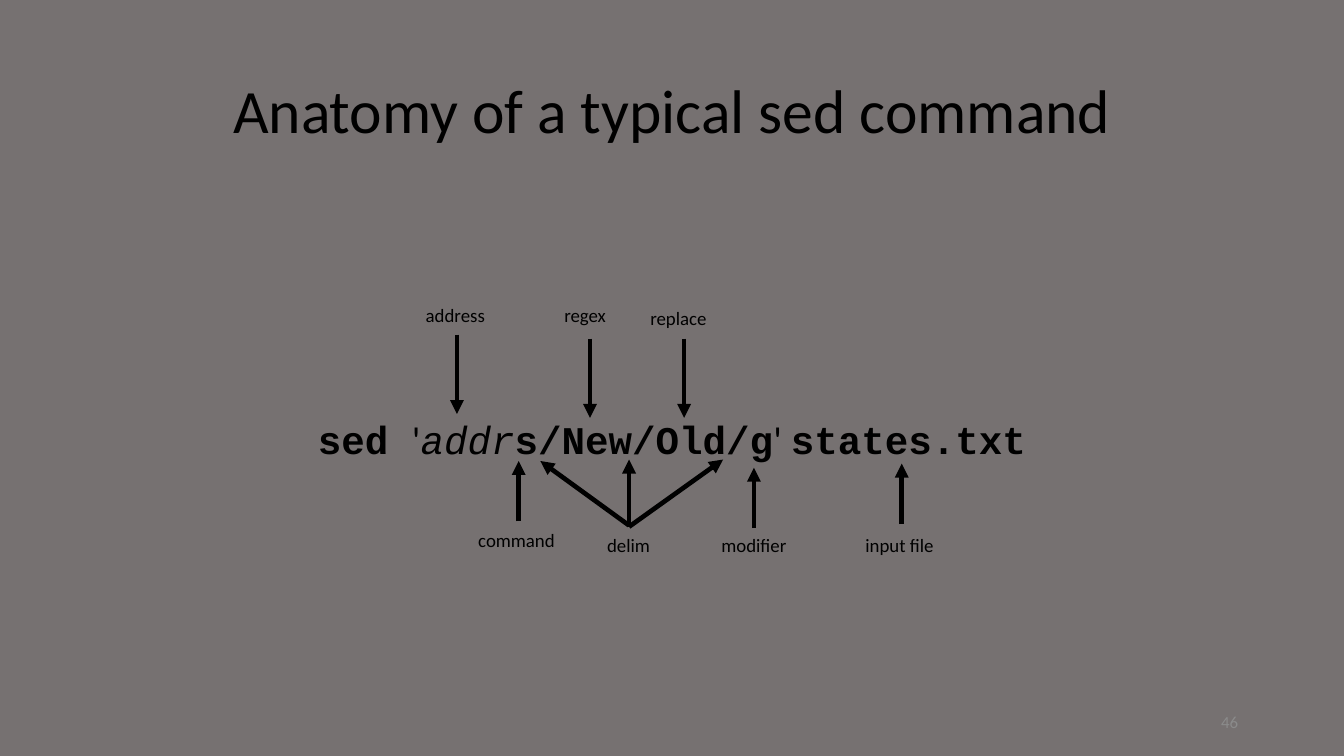
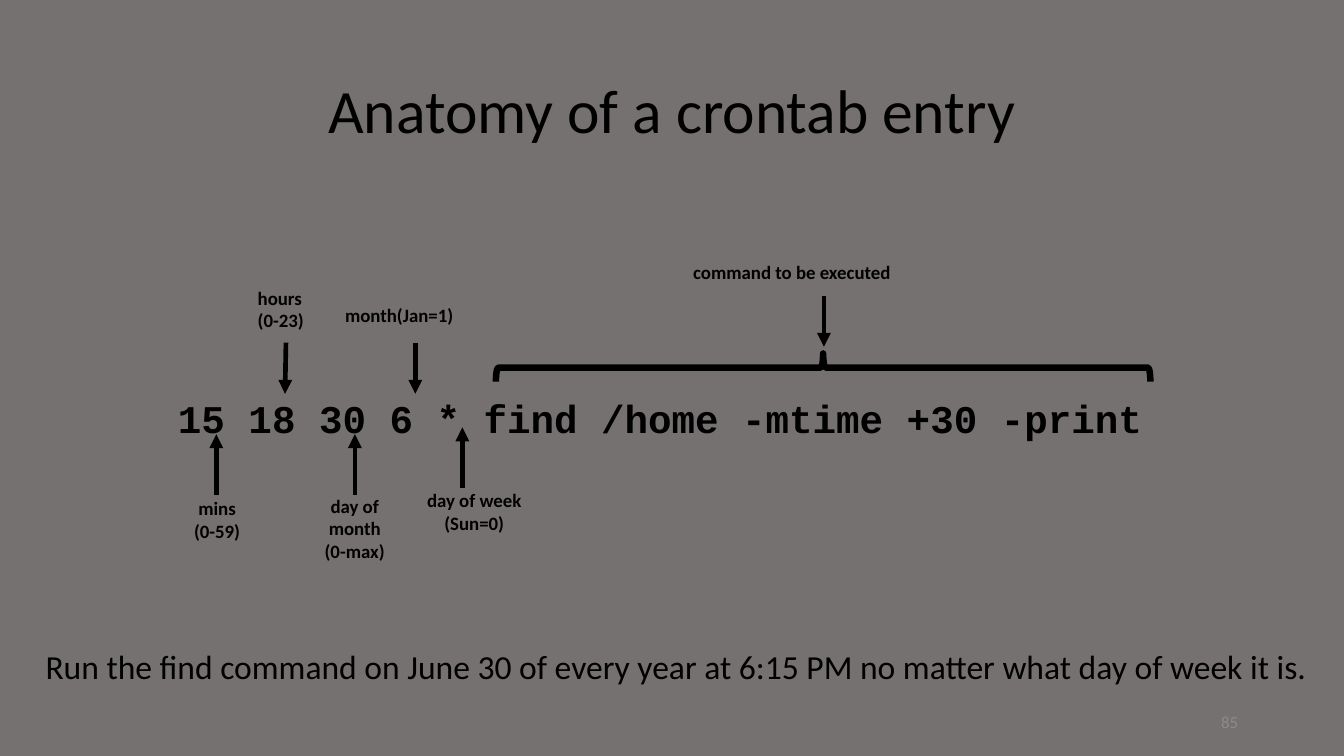
from lxml.etree import SubElement
from pptx import Presentation
from pptx.dml.color import RGBColor
from pptx.enum.shapes import MSO_CONNECTOR as Connector, MSO_SHAPE as Shape
from pptx.enum.text import MSO_ANCHOR as Anchor, MSO_AUTO_SIZE as AutoSize, PP_ALIGN as Align
from pptx.oxml.ns import qn
from pptx.util import Pt

BACKGROUND, INK, NUMBER_GREY = "767171", "000000", "8B8B8B"
SANS, MONO = "Calibri", "Courier New"
TITLE_BOX = (49.7, 21.6, 620.6, 78.5)
NUMBER_BOX = (508.3, 375.8, 162, 21.6)
CODE_LEFT, CODE_WIDTH, CODE_HEIGHT = 49.7, 620.6, 36
LABEL_SIZE, CAPTION_SIZE = 10.1, 18
ARROW_WIDTH, BRACE_WIDTH = 2.5, 3.5
UP = -32.4

# fmt: off
SLIDES = [
    {
        "title": "Anatomy of a typical sed command",
        "number": "46",
        "code_middle": 236.5,
        "code": [
            ("sed ", MONO, True, False),
            ("'", SANS, False, False),
            ("addr", MONO, False, True),
            ("s/New/Old/g", MONO, True, False),
            ("' ", SANS, False, False),
            ("states.txt", MONO, True, False),
        ],
        "bold_labels": False,
        "labels": [
            ("address", (221, 159.1, 46.8), Align.LEFT, [(244.8, 179.3, 0, 42.5)]),
            ("regex", (295.2, 159.1, 37.4), Align.LEFT, [(316.1, 181.4, 0, 42.5)]),
            ("replace", (341.3, 160.6, 45.4), Align.LEFT, [(366.5, 181.4, 0, 42.5)]),
            ("command", (249.1, 279.4, 56.2), Align.LEFT, [(277.9, 279.4, 0, UP)]),
            ("delim", (318.2, 282.2, 38.2), Align.LEFT,
             [(337, 282.2, 0, -36), (337, 282.2, 50.4, -36), (337, 281.5, -47.5, -34.5)]),
            ("modifier", (379.4, 282.2, 50.4), Align.LEFT, [(403.9, 283, 0, UP)]),
            ("input file", (456.5, 282.2, 51.8), Align.LEFT, [(483.1, 280.8, 0, UP)]),
        ],
    },
    {
        "title": "Anatomy of a crontab entry",
        "number": "85",
        "code_middle": 225.2,
        "code": [("15 18 30 6 * find /home -mtime +30 -print ", MONO, True, False)],
        "bold_labels": True,
        "labels": [
            ("mins\n(0-59)", (96.5, 262.8, 39.6), Align.CENTER, [(115.9, 265, 0, UP)]),
            ("hours\n(0-23)", (131, 149.8, 39.6), Align.LEFT, [(153.2, 183.6, -0.5, 27.4)]),
            ("day of\nmonth\n(0-max)", (166.3, 261.4, 47.5), Align.CENTER, [(190.1, 265, 0, UP)]),
            ("month(Jan=1)", (177.8, 159.1, 73.4), Align.LEFT, [(222.5, 183.6, 0, 27.4)]),
            ("day of week\n(Sun=0)", (221, 258.5, 66.2), Align.CENTER, [(247.7, 261.4, 0, UP)]),
            ("command to be executed", (364.3, 136.1, 122.4), Align.LEFT, [(441.4, 158.4, 0, 27.4)]),
        ],
        "brace": (433.4, 21.6, 15.1, 350.6),
        "caption": ("Run the find command on June 30 of every year at 6:15 PM "
                    "no matter what day of week it is.", (17.3, 342.7, 694.8)),
    },
]
# fmt: on


def color(hex_string):
    return RGBColor.from_string(hex_string)


def points(values):
    return [Pt(value) for value in values]


def add_run(paragraph, text, size, font=SANS, bold=False, italic=False, ink=INK):
    for index, line in enumerate(text.split("\n")):
        if index:
            paragraph.add_line_break()
        run = paragraph.add_run()
        run.text = line
        run.font.name, run.font.size = font, Pt(size)
        run.font.bold, run.font.italic = bold, italic
        run.font.color.rgb = color(ink)


def add_box(slide, box, align, anchor=Anchor.MIDDLE):
    frame = slide.shapes.add_textbox(*points(box)).text_frame
    frame.word_wrap = True
    frame.vertical_anchor = anchor
    frame.paragraphs[0].alignment = align
    return frame


def add_fitted_text(slide, text, place, size, align=Align.LEFT, bold=False):
    height = size * 1.22 * len(text.split("\n")) + 7.2
    frame = add_box(slide, (*place, height), align, Anchor.TOP)
    frame.word_wrap = False
    frame.auto_size = AutoSize.SHAPE_TO_FIT_TEXT
    add_run(frame.paragraphs[0], text, size, bold=bold)


def add_title(slide, text):
    title = slide.shapes.title
    title.left, title.top, title.width, title.height = points(TITLE_BOX)
    frame = title.text_frame
    frame.auto_size = AutoSize.NONE
    frame.vertical_anchor = Anchor.MIDDLE
    paragraph = frame.paragraphs[0]
    paragraph.alignment = Align.CENTER
    paragraph.line_spacing = 0.9
    add_run(paragraph, text, 33)


def add_code(slide, runs, middle):
    box = (CODE_LEFT, middle - CODE_HEIGHT / 2, CODE_WIDTH, CODE_HEIGHT)
    paragraph = add_box(slide, box, Align.CENTER).paragraphs[0]
    paragraph.line_spacing = 0.9
    for text, font, bold, italic in runs:
        add_run(paragraph, text, 21, font, bold, italic)


def add_arrow(slide, x, y, across, down):
    ends = points((x, y, x + across, y + down))
    arrow = slide.shapes.add_connector(Connector.STRAIGHT, *ends)
    arrow.line.color.rgb = color(INK)
    arrow.line.width = Pt(ARROW_WIDTH)
    SubElement(arrow.line._get_or_add_ln(), qn("a:tailEnd"), type="triangle")
    SubElement(arrow._element.spPr, qn("a:effectLst"))


def add_brace(slide, box):
    brace = slide.shapes.add_shape(Shape.LEFT_BRACE, *points(box))
    brace.rotation = 90
    brace.shadow.inherit = False
    brace.fill.background()
    brace.line.color.rgb = color(INK)
    brace.line.width = Pt(BRACE_WIDTH)


def build_slide(presentation, content):
    slide = presentation.slides.add_slide(presentation.slide_layouts[5])
    add_title(slide, content["title"])
    add_code(slide, content["code"], content["code_middle"])
    if "brace" in content:
        add_brace(slide, content["brace"])
    for text, place, align, arrows in content["labels"]:
        left, top, width = place
        add_label(slide, text, (left, top, width), align, content["bold_labels"])
        for arrow in arrows:
            add_arrow(slide, *arrow)
    if "caption" in content:
        text, (left, top, width) = content["caption"]
        add_fitted_text(slide, text, (left, top, width), CAPTION_SIZE)
    number = add_box(slide, NUMBER_BOX, Align.RIGHT)
    add_run(number.paragraphs[0], content["number"], 9, ink=NUMBER_GREY)


def add_label(slide, text, place, align, bold):
    add_fitted_text(slide, text, place, LABEL_SIZE, align, bold)


def main():
    presentation = Presentation()
    presentation.slide_width, presentation.slide_height = Pt(720), Pt(405)
    fill = presentation.slide_master.background.fill
    fill.solid()
    fill.fore_color.rgb = color(BACKGROUND)
    for content in SLIDES:
        build_slide(presentation, content)
    presentation.save("out.pptx")


if __name__ == "__main__":
    main()
